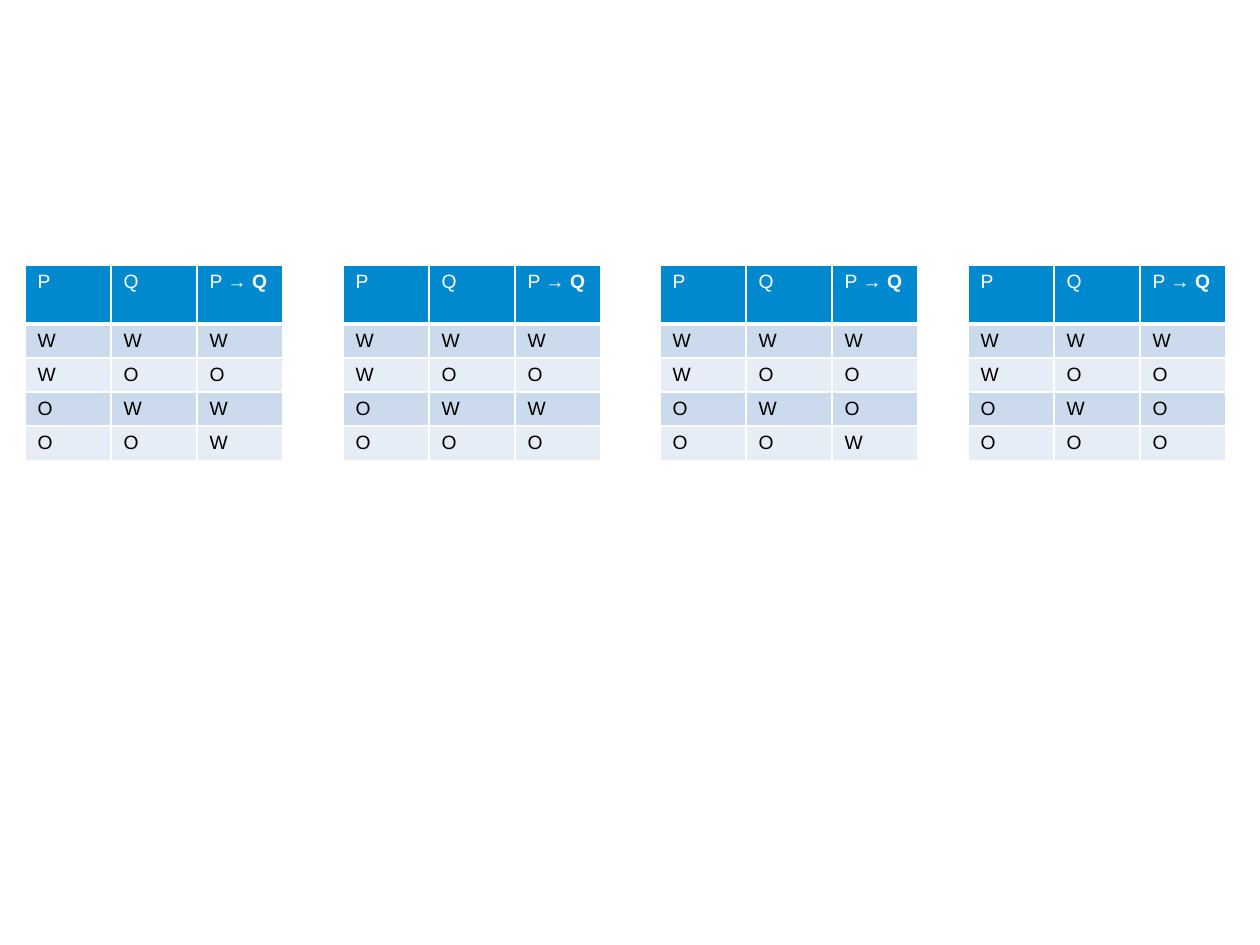
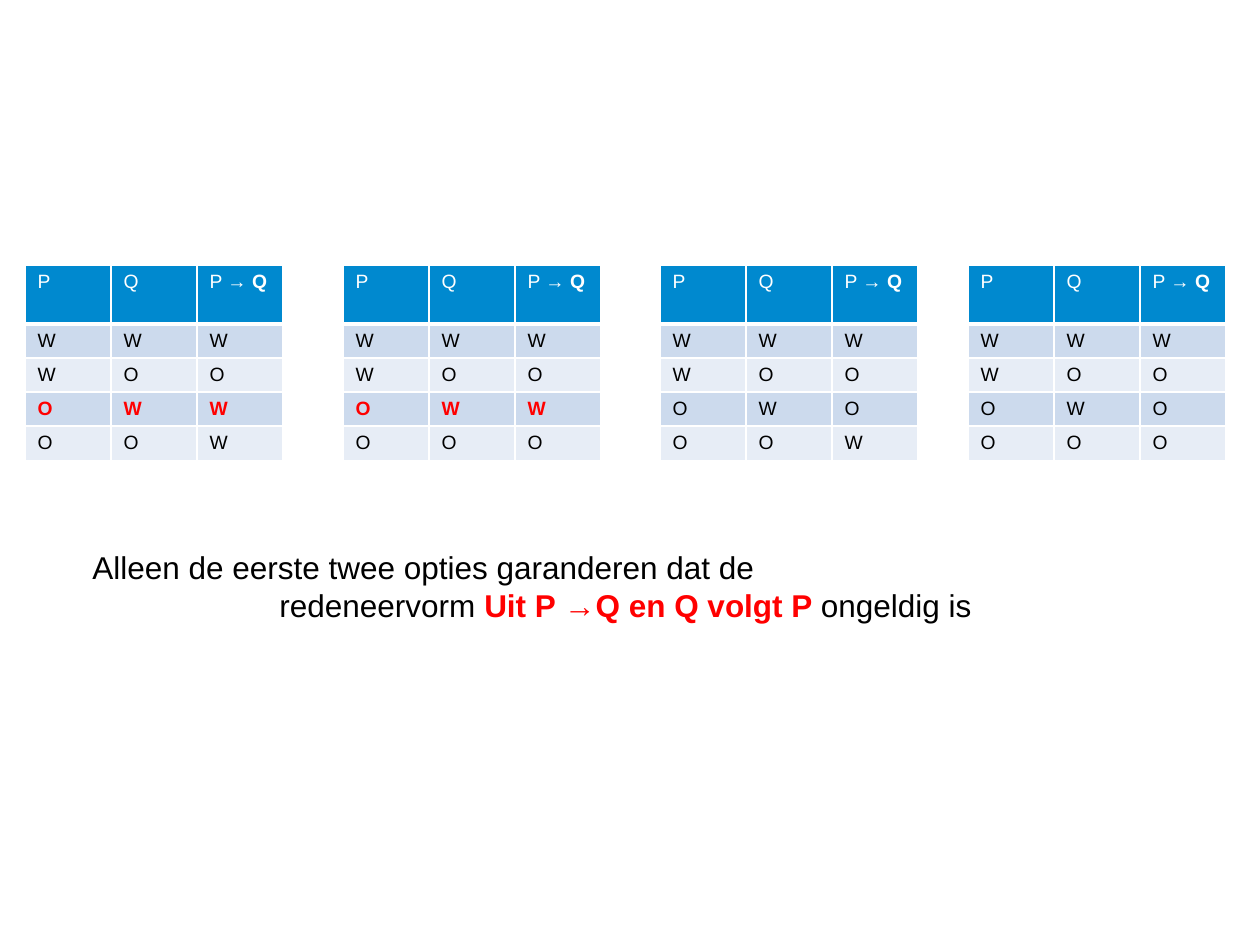
from dataclasses import dataclass

from lxml.etree import SubElement
from pptx import Presentation
from pptx.dml.color import RGBColor
from pptx.enum.text import MSO_AUTO_SIZE as AutoSize, PP_ALIGN as Align
from pptx.oxml.ns import qn
from pptx.util import Emu, Pt

PX = 914400 // 126
FONT = "Arial"
WHITE = RGBColor(0xFF, 0xFF, 0xFF)
BLACK = RGBColor(0x00, 0x00, 0x00)
RED = RGBColor(0xFF, 0x00, 0x00)
HEADER_BLUE = RGBColor(0x00, 0x89, 0xCF)
BAND_DARK = RGBColor(0xCC, 0xDA, 0xED)
BAND_LIGHT = RGBColor(0xE7, 0xED, 0xF6)

TABLE_TOP = 265
COLUMN_WIDTH = 86
HEADER_HEIGHT = 59
ROW_HEIGHT = 33
TABLE_TEXT = 11
CLAIM_TEXT = 18
CLAIM_INDENT = 55
COUNTEREXAMPLE = ("O", "W", "W")


@dataclass(frozen=True)
class Span:
    text: str
    color: RGBColor = BLACK
    bold: bool = False


@dataclass(frozen=True)
class TruthTable:
    left: int
    outcomes: str

    def rows(self) -> list[tuple[str, str, str]]:
        inputs = [(p, q) for p in "WO" for q in "WO"]
        return [(p, q, result) for (p, q), result in zip(inputs, self.outcomes)]


HEADER = (
    (Span("P", WHITE),),
    (Span("Q", WHITE),),
    (Span("P ", WHITE), Span("→ Q", WHITE, True)),
)
TABLES = (
    TruthTable(25, "WOWW"),
    TruthTable(343, "WOWO"),
    TruthTable(660, "WOOW"),
    TruthTable(968, "WOOO"),
)


def px(length: int) -> Emu:
    return Emu(length * PX)


def add_spans(para, spans: tuple[Span, ...], size: int) -> None:
    for span in spans:
        run = para.add_run()
        run.text = span.text
        run.font.name = FONT
        run.font.size = Pt(size)
        run.font.bold = span.bold
        run.font.color.rgb = span.color


def add_borders(cell, bottom: int) -> None:
    """Draw white cell edges; only the bottom width (points) varies."""
    properties = cell._tc.get_or_add_tcPr()
    for side, width in {"L": 1, "R": 1, "T": 1, "B": bottom}.items():
        line = SubElement(properties, qn(f"a:ln{side}"), w=str(Pt(width)))
        fill = SubElement(line, qn("a:solidFill"))
        SubElement(fill, qn("a:srgbClr"), val=str(WHITE))


def fill_cell(cell, spans: tuple[Span, ...], color: RGBColor, bottom: int = 1) -> None:
    add_borders(cell, bottom)
    cell.fill.solid()
    cell.fill.fore_color.rgb = color
    add_spans(cell.text_frame.paragraphs[0], spans, TABLE_TEXT)


def add_truth_table(slide, spec: TruthTable, highlight: bool) -> None:
    rows = spec.rows()
    columns = len(HEADER)
    height = HEADER_HEIGHT + ROW_HEIGHT * len(rows)
    table = slide.shapes.add_table(
        len(rows) + 1, columns,
        px(spec.left), px(TABLE_TOP), px(COLUMN_WIDTH * columns), px(height),
    ).table
    table.first_row = table.horz_banding = False
    for column in table.columns:
        column.width = px(COLUMN_WIDTH)
    for index, row in enumerate(table.rows):
        row.height = px(ROW_HEIGHT if index else HEADER_HEIGHT)

    for column, spans in enumerate(HEADER):
        fill_cell(table.cell(0, column), spans, HEADER_BLUE, bottom=3)
    for index, values in enumerate(rows, start=1):
        marked = highlight and values == COUNTEREXAMPLE
        band = BAND_DARK if index % 2 else BAND_LIGHT
        for column, value in enumerate(values):
            span = Span(value, RED if marked else BLACK, marked)
            fill_cell(table.cell(index, column), (span,), band)


def add_conclusion(slide) -> None:
    box = slide.shapes.add_textbox(px(25), px(542), px(1201), px(89))
    frame = box.text_frame
    frame.word_wrap = True
    frame.auto_size = AutoSize.SHAPE_TO_FIT_TEXT

    opening = frame.paragraphs[0]
    opening.alignment = Align.LEFT
    opening._p.get_or_add_pPr().set("marL", str(px(CLAIM_INDENT)))
    add_spans(
        opening,
        (Span("Alleen de eerste twee opties garanderen dat de"),),
        CLAIM_TEXT,
    )
    claim = frame.add_paragraph()
    claim.alignment = Align.CENTER
    add_spans(
        claim,
        (
            Span("redeneervorm "),
            Span("Uit P →Q en Q volgt P ", RED, True),
            Span("ongeldig is"),
        ),
        CLAIM_TEXT,
    )


def add_tables_slide(deck, highlight: bool):
    slide = deck.slides.add_slide(deck.slide_layouts[6])
    for spec in TABLES:
        add_truth_table(slide, spec, highlight)
    return slide


def main() -> None:
    deck = Presentation()
    deck.slide_width, deck.slide_height = px(1260), px(945)
    add_tables_slide(deck, highlight=False)
    add_conclusion(add_tables_slide(deck, highlight=True))
    deck.save("out.pptx")


if __name__ == "__main__":
    main()
